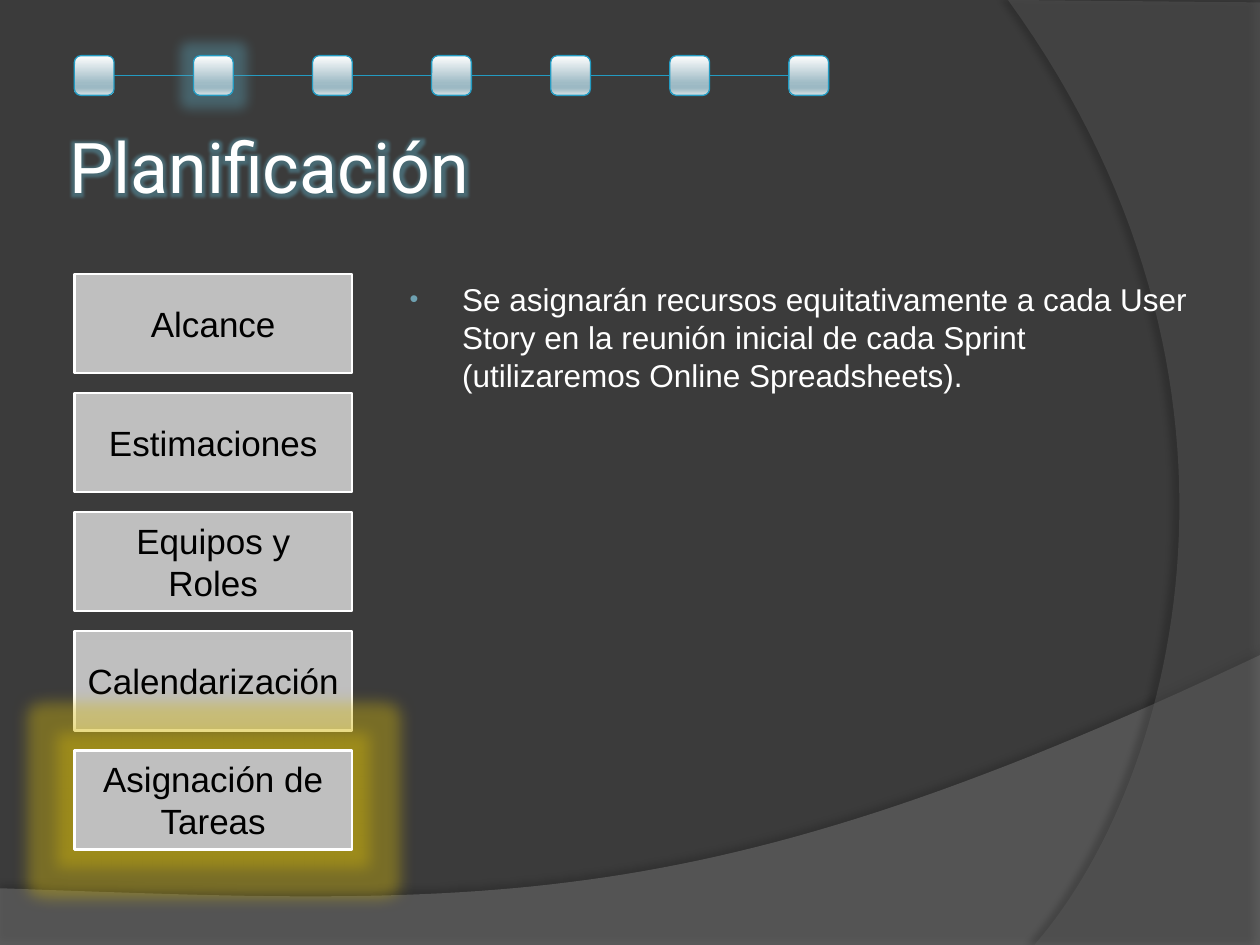
import dataclasses

import pptx
import pptx.dml.color
import pptx.enum.shapes
import pptx.enum.text
import pptx.oxml
import pptx.oxml.ns
import pptx.util

Pt = pptx.util.Pt
qn = pptx.oxml.ns.qn
SHAPES = pptx.enum.shapes.MSO_SHAPE
ALIGN = pptx.enum.text.PP_ALIGN
ANCHOR = pptx.enum.text.MSO_ANCHOR


@dataclasses.dataclass(frozen=True)
class Theme:
    background: str = "3B3B3B"
    wave: str = "7F7F7F"
    arc: str = "5E5E5E"
    shade: str = "000000"
    card: str = "BFBFBF"
    card_text: str = "000000"
    light: str = "FFFFFF"
    accent: str = "239BC2"
    bullet: str = "6EA0B0"
    step_glow: str = "5BA3B8"
    card_glow: str = "D4B80A"
    sheen: tuple = ((0, "FEFEFE"), (68, "A0BCC6"), (81, "9CB9C4"),
                    (86, "A7C0C9"), (100, "DAE4E7"))
    title_font: str = "Roboto"
    body_font: str = "Arial"
    title_size: int = 40
    card_size: int = 20
    body_size: int = 18


def rgb(value):
    return pptx.dml.color.RGBColor.from_string(value)


def xml(tag, attributes="", inner=""):
    names = pptx.oxml.ns.nsdecls("a")
    return pptx.oxml.parse_xml(f"<a:{tag} {names} {attributes}>{inner}</a:{tag}>")


def color_xml(color, opacity=100):
    return f'<a:srgbClr val="{color}"><a:alpha val="{opacity * 1000}"/></a:srgbClr>'


def glow_xml(color, radius, opacity):
    return xml("glow", f'rad="{Pt(radius)}"', color_xml(color, opacity))


def curve(start, first, second, end, steps=60):
    for step in range(steps + 1):
        t = step / steps
        u = 1 - t
        weights = (u ** 3, 3 * u * u * t, 3 * u * t * t, t ** 3)
        yield tuple(sum(weight * point[axis] for weight, point
                        in zip(weights, (start, first, second, end)))
                    for axis in (0, 1))


class SlideBuilder:
    def __init__(self, page, theme):
        self.page = page
        self.theme = theme
        fill = page.background.fill
        fill.solid()
        fill.fore_color.rgb = rgb(theme.background)

    def span(self, para, text, font, size, color):
        span = para.add_run()
        span.text = text
        span.font.name = font
        span.font.size = Pt(size)
        span.font.color.rgb = rgb(color)
        return span

    def effect(self, shape, effect):
        shape.element.spPr.find(qn("a:effectLst")).append(effect)

    def backdrop(self, points, color, opacity, shadow_opacity, distance, angle):
        corners = [(Pt(x), Pt(y)) for x, y in points]
        builder = self.page.shapes.build_freeform(*corners[0], scale=1.0)
        builder.add_line_segments(corners[1:], close=True)
        shape = builder.convert_to_shape()
        shape.shadow.inherit = False
        shape.fill.solid()
        shape.fill.fore_color.rgb = rgb(color)
        shape.element.spPr.find(qn("a:solidFill"))[0].append(
            xml("alpha", f'val="{opacity * 1000}"'))
        shape.line.fill.background()
        self.effect(shape, xml(
            "outerShdw",
            f'blurRad="{Pt(4)}" dist="{Pt(distance)}" dir="{angle * 60000}"',
            color_xml(self.theme.shade, shadow_opacity)))

    def shape(self, kind, left, top, width, height, line, line_width):
        box = self.page.shapes.add_shape(
            kind, Pt(left), Pt(top), Pt(width), Pt(height))
        box.shadow.inherit = False
        box.line.color.rgb = rgb(line)
        box.line.width = Pt(line_width)
        return box

    def card(self, text, left, top, width, height, glowing):
        theme = self.theme
        box = self.shape(SHAPES.RECTANGLE, left, top, width, height,
                         theme.light, 1.5)
        box.fill.solid()
        box.fill.fore_color.rgb = rgb(theme.card)
        if glowing:
            self.effect(box, glow_xml(theme.card_glow, 18, 40))
        frame = box.text_frame
        frame.word_wrap = True
        frame.vertical_anchor = ANCHOR.MIDDLE
        para = frame.paragraphs[0]
        para.alignment = ALIGN.CENTER
        self.span(para, text, theme.body_font, theme.card_size, theme.card_text)

    def step(self, left, top, size, glowing):
        box = self.shape(SHAPES.ROUNDED_RECTANGLE, left, top, size, size,
                         self.theme.accent, 0.75)
        box.fill.gradient()
        box.fill.gradient_angle = 270
        stops = box.element.spPr.find(qn("a:gradFill")).find(qn("a:gsLst"))
        for stop in list(stops):
            stops.remove(stop)
        for position, color in self.theme.sheen:
            stops.append(xml("gs", f'pos="{position * 1000}"', color_xml(color)))
        if glowing:
            self.effect(box, glow_xml(self.theme.step_glow, 14, 40))

    def link(self, start, end, y):
        line = self.page.shapes.add_connector(
            pptx.enum.shapes.MSO_CONNECTOR.STRAIGHT,
            Pt(start), Pt(y), Pt(end), Pt(y))
        line.line.color.rgb = rgb(self.theme.accent)
        line.line.width = Pt(0.75)
        line.element.spPr.append(xml("effectLst"))

    def placeholder(self, box, left, top, width, height, anchor):
        box.element.getparent().append(box.element)
        box.left, box.top, box.width, box.height = map(
            Pt, (left, top, width, height))
        frame = box.text_frame
        frame.word_wrap = True
        frame.auto_size = pptx.enum.text.MSO_AUTO_SIZE.NONE
        frame.vertical_anchor = anchor
        para = frame.paragraphs[0]
        para.alignment = ALIGN.LEFT
        return frame, para

    def title(self, text, *place):
        theme = self.theme
        frame, para = self.placeholder(
            self.page.shapes.title, *place, ANCHOR.MIDDLE)
        frame.margin_left = frame.margin_right = Pt(3.6)
        frame.margin_top = frame.margin_bottom = Pt(3.6)
        span = self.span(para, text, theme.title_font, theme.title_size, theme.light)
        effects = xml("effectLst")
        effects.append(glow_xml(theme.step_glow, 8, 45))
        span._r.rPr.find(qn("a:solidFill")).addnext(effects)

    def body(self, text, *place):
        theme = self.theme
        frame, para = self.placeholder(
            self.page.placeholders[1], *place, ANCHOR.TOP)
        para.space_before = Pt(3.6)
        self.span(para, text, theme.body_font, theme.body_size, theme.light)
        properties = para._p.get_or_add_pPr()
        properties.set("marL", str(Pt(33)))
        properties.set("indent", str(Pt(-30)))
        properties.append(xml("buClr", inner=color_xml(theme.bullet)))
        properties.append(xml("buSzPct", 'val="80000"'))
        properties.append(xml("buFont", f'typeface="{theme.body_font}"'))
        properties.append(xml("buChar", 'char="•"'))


def main():
    deck = pptx.Presentation()
    deck.slide_width, deck.slide_height = Pt(720), Pt(540)
    theme = Theme()
    slide = SlideBuilder(deck.slides.add_slide(deck.slide_layouts[1]), theme)

    wave = curve((720, 374.4), (402.5, 524.9), (281.5, 517.7), (0, 507.6))
    slide.backdrop([(0, 540), (720, 540), *wave], theme.wave, 45, 35, 3.5, 270)
    arc = curve((591.1, 540), (673.2, 445.7), (733, 216), (576, 0))
    slide.backdrop([(720, 1.4), (720, 540), *arc], theme.arc, 40, 45, 4, 180)

    left, pitch = 42.5, 68.05
    topics = ("Alcance", "Estimaciones", "Equipos y Roles",
              "Calendarización", "Asignación de Tareas")
    for index, topic in enumerate(topics):
        slide.card(topic, left, 156.5 + index * pitch, 158.7, 56.7,
                   topic == topics[-1])

    slide.body("Se asignarán recursos equitativamente a cada User Story en la "
               "reunión inicial de cada Sprint (utilizaremos Online "
               "Spreadsheets).", 223.9, 156.5, 470.9, 340.6)
    slide.title("Planificación", 36, 49.7, 588.2, 90)

    step_count, step_size, step_top = 7, 22.7, 31.8
    for index in range(step_count):
        x = left + index * pitch
        if index < step_count - 1:
            slide.link(x + step_size, x + pitch, step_top + step_size / 2)
        slide.step(x, step_top, step_size, index == 1)

    deck.save("out.pptx")


if __name__ == "__main__":
    main()
